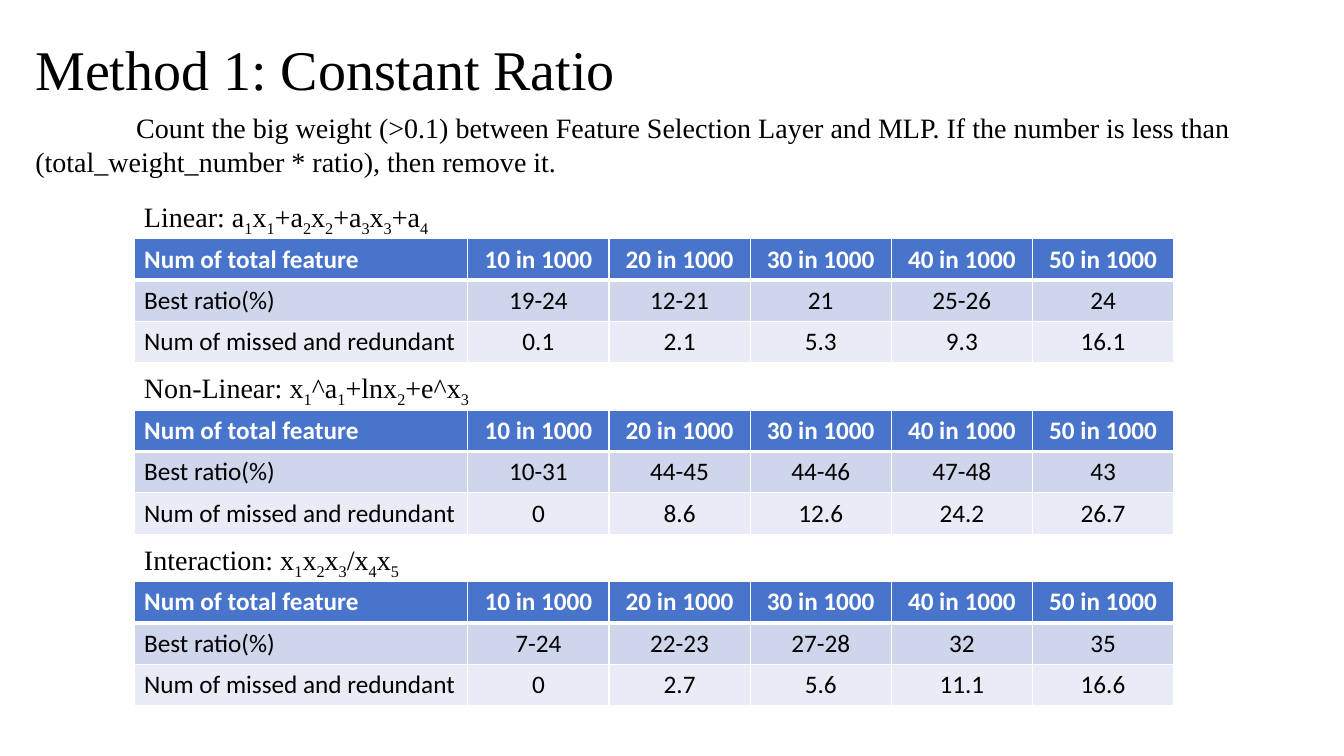
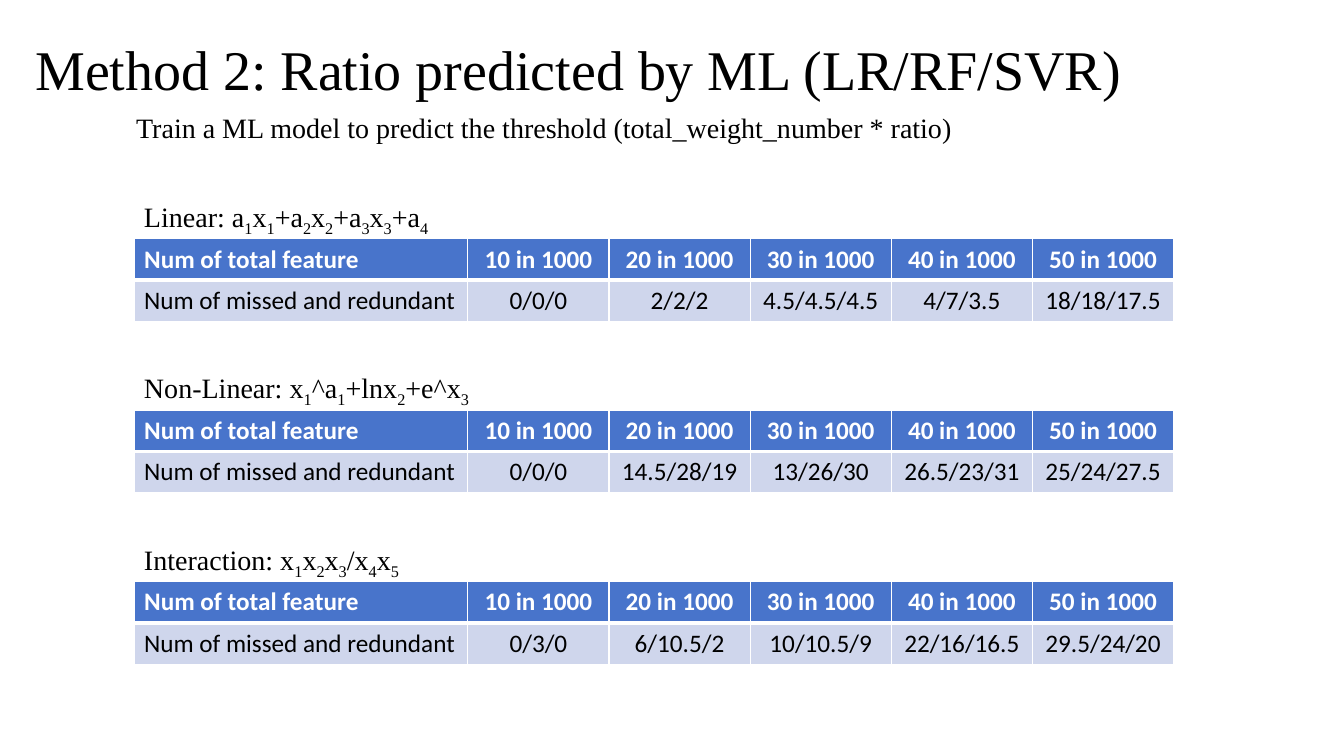
import dataclasses
import itertools

import lxml.etree
import pptx
import pptx.dml.color
import pptx.enum.text
import pptx.oxml.ns
import pptx.util

Inches = pptx.util.Inches
RGBColor = pptx.dml.color.RGBColor
ALIGN = pptx.enum.text.PP_ALIGN
ANCHOR = pptx.enum.text.MSO_ANCHOR
AUTO_SIZE = pptx.enum.text.MSO_AUTO_SIZE
qn = pptx.oxml.ns.qn

BLACK = RGBColor(0x00, 0x00, 0x00)
WHITE = RGBColor(0xFF, 0xFF, 0xFF)
HEADER_BLUE = RGBColor(0x48, 0x74, 0xCB)
BAND_DARK = RGBColor(0xCF, 0xD6, 0xEC)
BAND_LIGHT = RGBColor(0xE9, 0xEB, 0xF6)
ROW_FILLS = (HEADER_BLUE, BAND_DARK, BAND_LIGHT)

SERIF = "Times New Roman"
SANS = "Calibri"

TEXT_LEFT = 0.25
TABLE_LEFT = 1.33
TABLE_TOP = 2.37
TABLE_PITCH = 1.7
CAPTION_H = 0.44
LABEL_W = 3.31
VALUE_W = 1.4
ROW_H = 0.41

FORMULAS = (
    "Linear: a1x1+a2x2+a3x3+a4",
    "Non-Linear: x1^a1+lnx2+e^x3",
    "Interaction: x1x2x3/x4x5",
)
FEATURE_COUNTS = tuple(f"{n} in 1000" for n in range(10, 60, 10))
TOTAL = "Num of total feature"
RATIO = "Best ratio(%)"
MISSED = "Num of missed and redundant"


@dataclasses.dataclass(frozen=True)
class Method:
    title: str
    title_w: float
    summary: str
    summary_h: float
    labels: tuple[str, ...]
    results: tuple[tuple[str, ...], ...]


METHODS = (
    Method(
        "Method 1: Constant Ratio", 6.57,
        "Count the big weight (>0.1) between Feature Selection Layer and MLP. "
        "If the number is less than (total_weight_number * ratio), then remove it.",
        0.77,
        (RATIO, MISSED),
        (
            ("19-24 12-21 21 25-26 24", "0.1 2.1 5.3 9.3 16.1"),
            ("10-31 44-45 44-46 47-48 43", "0 8.6 12.6 24.2 26.7"),
            ("7-24 22-23 27-28 32 35", "0 2.7 5.6 11.1 16.6"),
        ),
    ),
    Method(
        "Method 2: Ratio predicted by ML (LR/RF/SVR)", 11.49,
        "Train a ML model to predict the threshold (total_weight_number * ratio)",
        0.44,
        (MISSED,),
        (
            ("0/0/0 2/2/2 4.5/4.5/4.5 4/7/3.5 18/18/17.5",),
            ("0/0/0 14.5/28/19 13/26/30 26.5/23/31 25/24/27.5",),
            ("0/3/0 6/10.5/2 10/10.5/9 22/16/16.5 29.5/24/20",),
        ),
    ),
)


def write(p, text: str, *, size: float = 20, font: str = SERIF,
          color: RGBColor = BLACK, bold: bool = False,
          align=ALIGN.LEFT, subscript: bool = False) -> None:
    p.alignment = align
    r = p.add_run()
    r.text = text
    r.font.size = pptx.util.Pt(size)
    r.font.name = font
    r.font.bold = bold
    r.font.color.rgb = color
    if subscript:
        r.font._element.set("baseline", "-25000")


def place(sp, left: float, top: float, width: float, height: float):
    sp.left, sp.top = Inches(left), Inches(top)
    sp.width, sp.height = Inches(width), Inches(height)
    tf = sp.text_frame
    tf.word_wrap = True
    tf.auto_size = AUTO_SIZE.SHAPE_TO_FIT_TEXT
    tf.vertical_anchor = ANCHOR.TOP
    p = tf.paragraphs[0]
    p.space_before = pptx.util.Pt(0)
    return p


def indent_first_line(p, indent: float) -> None:
    pPr = p._p.get_or_add_pPr()
    pPr.set("marL", "0")
    pPr.set("indent", str(Inches(indent)))
    lxml.etree.SubElement(pPr, qn("a:buNone"))


def set_borders(cell, top: float, bottom: float) -> None:
    tcPr = cell._tc.get_or_add_tcPr()
    for side, width in (("L", 1), ("R", 1), ("T", top), ("B", bottom)):
        ln = lxml.etree.SubElement(tcPr, qn(f"a:ln{side}"), w=str(pptx.util.Pt(width)))
        fill = lxml.etree.SubElement(ln, qn("a:solidFill"))
        lxml.etree.SubElement(fill, qn("a:srgbClr"), val=str(WHITE))


def draw_table(s, rows: list[tuple[str, ...]], left: float, top: float,
               col_w: float, align) -> None:
    n_rows, n_cols = len(rows), len(rows[0])
    table = s.shapes.add_table(n_rows, n_cols, Inches(left), Inches(top),
                               Inches(col_w * n_cols), Inches(ROW_H * n_rows)).table
    table.horz_banding = False
    for col in table.columns:
        col.width = Inches(col_w)
    for i, (row, values) in enumerate(zip(table.rows, rows)):
        row.height = Inches(ROW_H)
        header = i == 0
        for cell, value in zip(row.cells, values):
            set_borders(cell, top=3 if i == 1 else 1, bottom=3 if header else 1)
            cell.fill.solid()
            cell.fill.fore_color.rgb = ROW_FILLS[i]
            cell.vertical_anchor = ANCHOR.MIDDLE
            write(cell.text_frame.paragraphs[0], value, size=18, font=SANS,
                  color=WHITE if header else BLACK, bold=header, align=align)


def draw_caption(s, formula: str, top: float) -> None:
    sp = s.shapes.add_textbox(0, 0, 0, 0)
    p = place(sp, TABLE_LEFT, top, 3.5, CAPTION_H)
    sp.text_frame.word_wrap = False
    for is_index, chars in itertools.groupby(formula, str.isdigit):
        write(p, "".join(chars), subscript=is_index)


def draw_method(prs, method: Method) -> None:
    s = prs.slides.add_slide(prs.slide_layouts[1])
    title, body = s.placeholders
    write(place(title, TEXT_LEFT, 0.29, method.title_w, 0.77), method.title, size=40)
    p = place(body, TEXT_LEFT, 1.05, 12.29, method.summary_h)
    indent_first_line(p, 1)
    write(p, method.summary)

    for i, (formula, result) in enumerate(zip(FORMULAS, method.results)):
        top = TABLE_TOP + i * TABLE_PITCH
        draw_caption(s, formula, top - CAPTION_H)
        labels = [(label,) for label in (TOTAL, *method.labels)]
        values = [FEATURE_COUNTS, *(tuple(line.split()) for line in result)]
        draw_table(s, labels, TABLE_LEFT, top, LABEL_W, ALIGN.LEFT)
        draw_table(s, values, TABLE_LEFT + LABEL_W, top, VALUE_W, ALIGN.CENTER)


def main() -> None:
    prs = pptx.Presentation()
    prs.slide_width, prs.slide_height = Inches(13.33), Inches(7.5)
    for method in METHODS:
        draw_method(prs, method)
    prs.save("out.pptx")


if __name__ == "__main__":
    main()
